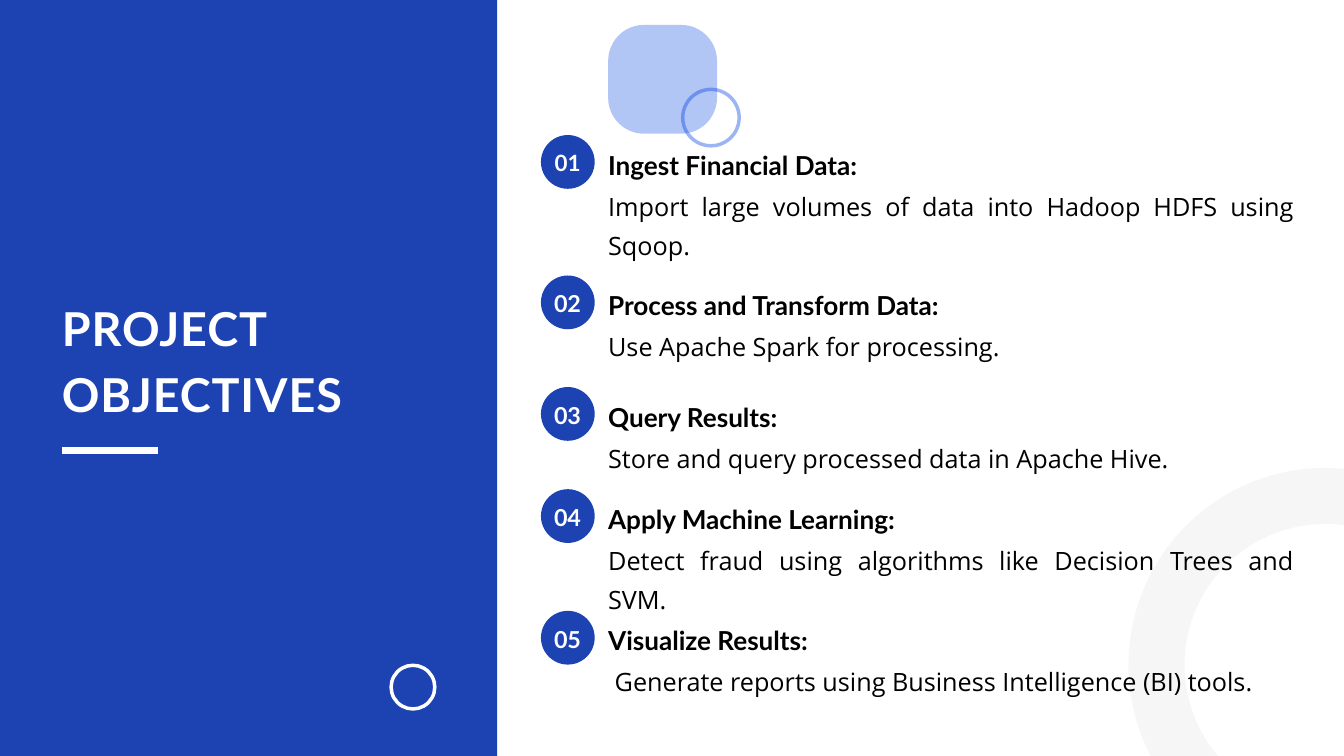
from dataclasses import dataclass
from typing import Any

from lxml.etree import SubElement
from pptx import Presentation
from pptx.dml.color import RGBColor
from pptx.enum.shapes import MSO_CONNECTOR as Connector, MSO_SHAPE as Preset
from pptx.enum.text import MSO_ANCHOR as Anchor, MSO_AUTO_SIZE as AutoSize, PP_ALIGN as Align
from pptx.oxml.ns import qn
from pptx.util import Inches, Pt


def colour(code):
    return RGBColor.from_string(code)


def set_alpha(fill_parent, percent):
    tint = next(fill_parent.iter(qn("a:srgbClr")))
    SubElement(tint, qn("a:alpha")).set("val", str(percent * 1000))


@dataclass
class SlideBuilder:
    slide: Any
    blue: str = "1D43B3"
    accent: str = "0345E4"
    white: str = "FFFFFF"
    black: str = "000000"
    pale: str = "F6F6F6"
    heading_font: str = "Lato"
    body_font: str = "Open Sans"

    def solid(self, preset, left, top, width, height, fill, alpha=None):
        shape = self.slide.shapes.add_shape(
            preset, Inches(left), Inches(top), Inches(width), Inches(height))
        shape.shadow.inherit = False
        shape.fill.solid()
        shape.fill.fore_color.rgb = colour(fill)
        shape.line.fill.background()
        if alpha:
            set_alpha(shape.fill._xPr, alpha)
        return shape

    def ring(self, left, top, size, line, weight, alpha=None):
        shape = self.slide.shapes.add_shape(
            Preset.OVAL, Inches(left), Inches(top), Inches(size), Inches(size))
        shape.shadow.inherit = False
        shape.fill.background()
        shape.line.color.rgb = colour(line)
        shape.line.width = Pt(weight)
        if alpha:
            set_alpha(shape.line._ln, alpha)

    def rule(self, left, right, y, line, weight):
        connector = self.slide.shapes.add_connector(
            Connector.STRAIGHT, Inches(left), Inches(y), Inches(right), Inches(y))
        connector.line.color.rgb = colour(line)
        connector.line.width = Pt(weight)
        SubElement(connector._element.spPr, qn("a:effectLst"))

    def text(self, words, left, top, width, height, size, leading, ink, font,
             bold=True, align=Align.LEFT, anchor=Anchor.TOP, inset=0,
             fit=AutoSize.SHAPE_TO_FIT_TEXT, tracking=0):
        box = self.slide.shapes.add_textbox(
            Inches(left), Inches(top), Inches(width), Inches(height))
        frame = box.text_frame
        frame.word_wrap = True
        frame.auto_size = fit
        frame.vertical_anchor = anchor
        frame.margin_left = frame.margin_right = Inches(inset)
        frame.margin_top = frame.margin_bottom = Inches(inset)
        paragraph = frame.paragraphs[0]
        paragraph.alignment = align
        paragraph.line_spacing = Pt(leading)
        run = paragraph.add_run()
        run.text = words
        run.font.name = font
        run.font.size = Pt(size)
        run.font.bold = bold
        run.font.color.rgb = colour(ink)
        if tracking:
            run._r.get_or_add_rPr().set("spc", str(tracking * 100))

    def objective(self, number, top, number_size, heading, detail, lines):
        self.solid(Preset.OVAL, 8.05, top, 0.8, 0.8, self.blue)
        self.text(f"{number:02}", 8.12, top + 0.03, 0.65, 0.7, number_size,
                  number_size * 1.4, self.white, self.heading_font, align=Align.CENTER,
                  anchor=Anchor.MIDDLE, inset=0.06, fit=AutoSize.NONE)
        self.text(detail, 9.05, top + 0.7, 10.2, 0.56 * lines, 27, 41.8, self.black,
                  self.body_font, bold=False, align=Align.JUSTIFY)
        self.text(heading, 9.05, top + 0.13, 6.02, 0.53, 28, 39.2, self.black,
                  self.heading_font)


OBJECTIVES = [
    (2.01, 24, "Ingest Financial Data:",
     "Import large volumes of data into Hadoop HDFS using Sqoop.", 2),
    (4.1, 25, "Process and Transform Data:", "Use Apache Spark for processing.", 1),
    (5.76, 25, "Query Results:", "Store and query processed data in Apache Hive.", 1),
    (7.28, 25, "Apply Machine Learning:",
     "Detect fraud using algorithms like Decision Trees and SVM.", 2),
    (9.09, 25, "Visualize Results:",
     " Generate reports using Business Intelligence (BI) tools.", 1),
]


def main():
    deck = Presentation()
    deck.slide_width, deck.slide_height = Inches(20), Inches(11.25)
    page = SlideBuilder(deck.slides.add_slide(deck.slide_layouts[6]))

    page.solid(Preset.RECTANGLE, 0, 0, 7.4, 11.25, page.blue)
    page.rule(0.92, 2.35, 6.7, page.white, 7.5)
    page.text("PROJECT OBJECTIVES", 0.92, 4.33, 5.23, 1.9, 50, 70, page.white,
              page.heading_font, tracking=1)
    page.ring(5.82, 9.9, 0.65, page.white, 3.75)

    page.ring(17.21, 7.38, 5.03, page.pale, 60)
    tile = page.solid(Preset.ROUNDED_RECTANGLE, 9.05, 0.37, 1.62, 1.62, page.accent, alpha=30)
    tile.adjustments[0] = 0.33
    page.ring(10.16, 1.33, 0.84, page.accent, 3.75, alpha=40)

    for number, row in enumerate(OBJECTIVES, start=1):
        page.objective(number, *row)

    deck.save("out.pptx")


if __name__ == "__main__":
    main()
